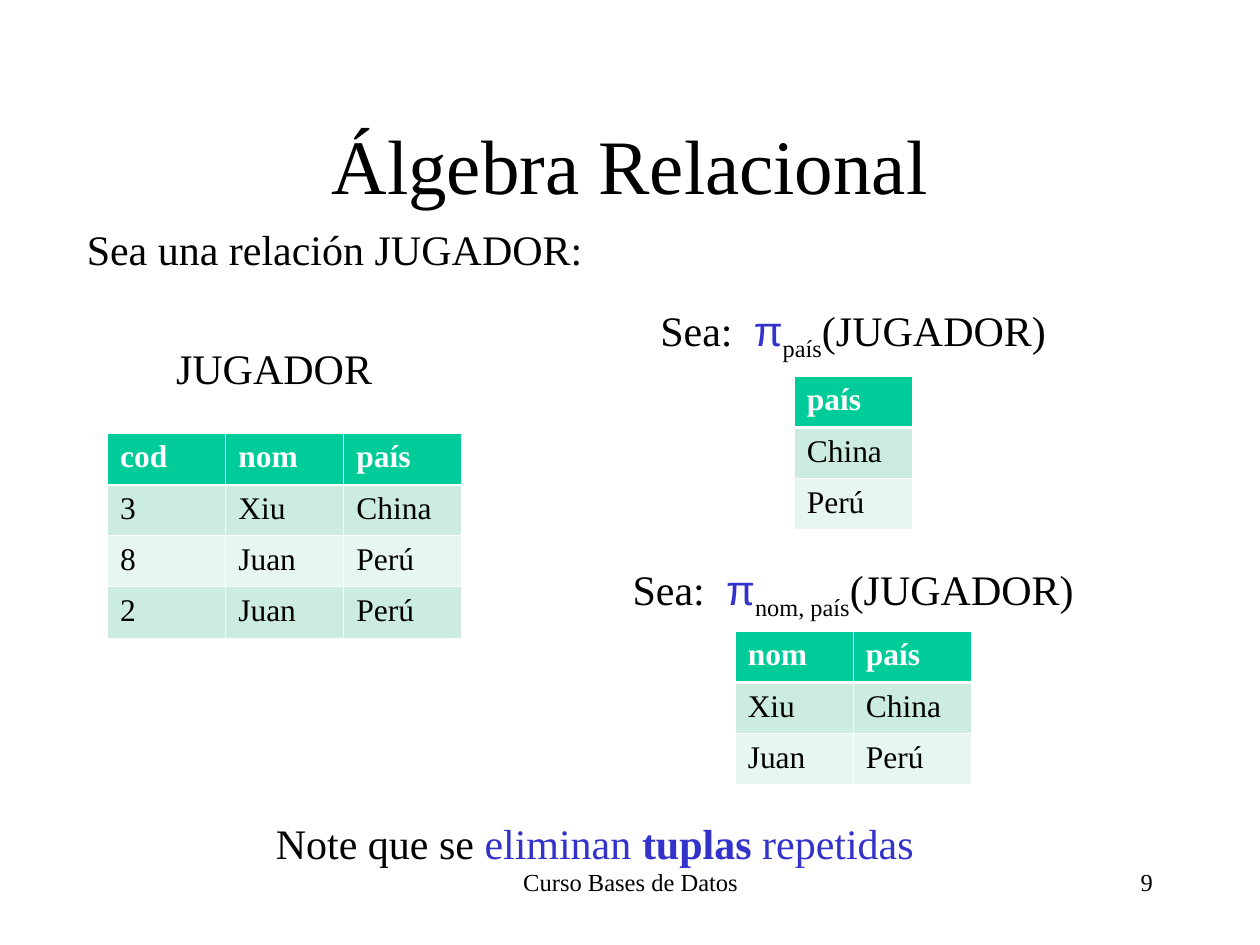
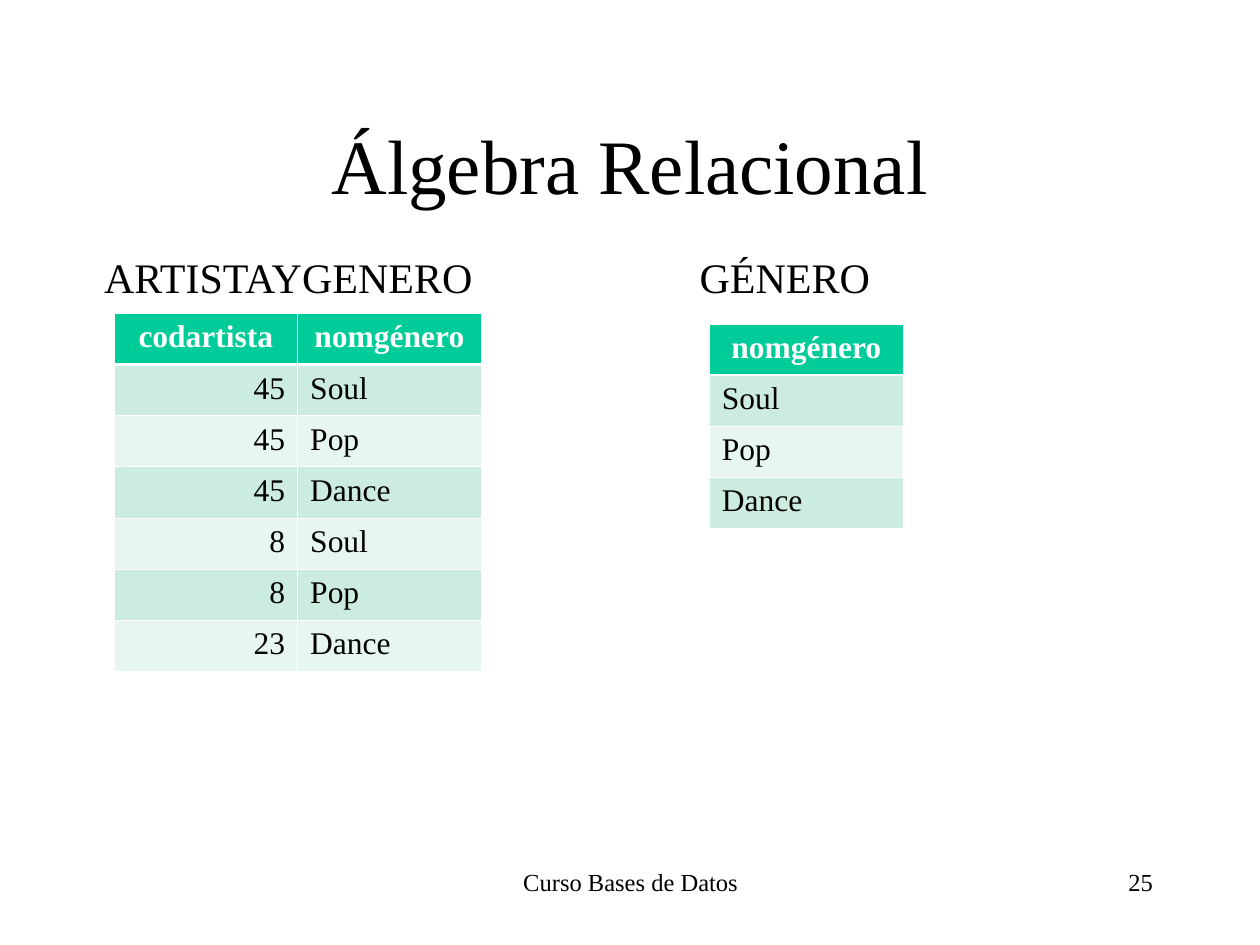
import pptx
import pptx.util
import pptx.dml.color
import pptx.enum.text
import pptx.oxml
import pptx.oxml.ns

Cm = pptx.util.Cm
Pt = pptx.util.Pt
RGBColor = pptx.dml.color.RGBColor
ALIGN = pptx.enum.text.PP_ALIGN
ANCHOR = pptx.enum.text.MSO_ANCHOR

BLACK = RGBColor(0x00, 0x00, 0x00)
WHITE = RGBColor(0xFF, 0xFF, 0xFF)
BLUE = RGBColor(0x33, 0x33, 0xCC)
HEADER = RGBColor(0x00, 0xCC, 0x99)
BANDS = [RGBColor(0xCB, 0xEC, 0xDE), RGBColor(0xE7, 0xF6, 0xEF)]

SERIF = "Times New Roman"
SANS = "Arial"
TITLE = "Álgebra Relacional"
FOOTER = "Curso Bases de Datos"
THIN, THICK = 0.45, 1.47
ROW_H = 1.03
LINE_H = 1.27
TITLE_ONLY = 5


def set_font(p, size, color=BLACK, bold=False, align=ALIGN.LEFT):
    p.alignment = align
    p.font.name = SERIF
    p.font.size = Pt(size)
    p.font.bold = bold
    p.font.color.rgb = color


def add_label(slide, left, top, width, text="", size=24, align=ALIGN.LEFT):
    sp = slide.shapes.add_textbox(Cm(left), Cm(top), Cm(width), Cm(LINE_H))
    tf = sp.text_frame
    tf.word_wrap = True
    p = tf.paragraphs[0]
    p.text = text
    set_font(p, size, align=align)
    return p


def add_run(p, text, color=None, bold=None):
    r = p.add_run()
    r.text = text
    if color is not None:
        r.font.color.rgb = color
    if bold is not None:
        r.font.bold = bold
    return r


def add_projection(slide, left, top, width, attributes):
    p = add_label(slide, left, top, width, align=ALIGN.CENTER)
    add_run(p, "Sea:")
    gap = add_run(p, " ")
    gap.font._element.set("spc", "600")
    add_run(p, "π", BLUE).font.name = SANS
    add_run(p, attributes).font._element.set("baseline", "-25000")
    add_run(p, "(JUGADOR)")


def add_border(cell, side, width):
    tcPr = cell._tc.get_or_add_tcPr()
    tcPr.append(pptx.oxml.parse_xml(
        f'<a:ln{side} {pptx.oxml.ns.nsdecls("a")} w="{Pt(width)}">'
        f'<a:solidFill><a:srgbClr val="{WHITE}"/></a:solidFill></a:ln{side}>'))


def add_relation(slide, left, top, col_w, rows,
                 header_align=ALIGN.LEFT, number_align=ALIGN.LEFT):
    n_cols = len(rows[0])
    table = slide.shapes.add_table(
        len(rows), n_cols, Cm(left), Cm(top),
        Cm(col_w * n_cols), Cm(ROW_H * len(rows))).table
    for col in table.columns:
        col.width = Cm(col_w)
    for i, values in enumerate(rows):
        table.rows[i].height = Cm(ROW_H)
        is_header = i == 0
        for j, value in enumerate(values):
            cell = table.cell(i, j)
            widths = {"L": THIN, "R": THIN,
                      "T": THICK if i == 1 else THIN,
                      "B": THICK if is_header else THIN}
            for side, width in widths.items():
                add_border(cell, side, width)
            cell.fill.solid()
            cell.fill.fore_color.rgb = HEADER if is_header else BANDS[(i - 1) % 2]
            p = cell.text_frame.paragraphs[0]
            p.text = value
            if is_header:
                set_font(p, 18, WHITE, True, header_align)
            else:
                align = number_align if value.isdigit() else ALIGN.LEFT
                set_font(p, 18, align=align)


def add_course_slide(prs, number):
    slide = prs.slides.add_slide(prs.slide_layouts[TITLE_ONLY])
    title = slide.shapes.title
    title.left, title.top = Cm(1.9), Cm(1.7)
    title.width, title.height = Cm(21.6), Cm(3.18)
    tf = title.text_frame
    tf.text = TITLE
    tf.vertical_anchor = ANCHOR.MIDDLE
    set_font(tf.paragraphs[0], 44, align=ALIGN.CENTER)
    add_label(slide, 8.69, 17.35, 8.05, FOOTER, 14, ALIGN.CENTER)
    add_label(slide, 18.21, 17.35, 5.28, str(number), 14, ALIGN.RIGHT)
    return slide


def add_player_relation(slide, left, top):
    add_label(slide, left, top, 11.8, "Sea una relación JUGADOR:")
    add_label(slide, left + 1.8, top + 2.39, 5.4, "JUGADOR")
    add_relation(slide, left + 0.67, top + 4.35, 2.38, [
        ("cod", "nom", "país"),
        ("3", "Xiu", "China"),
        ("8", "Juan", "Perú"),
        ("2", "Juan", "Perú")])


def add_projection_result(slide, left, top, width, rows, table_drop):
    col_w = 2.38
    add_projection(slide, left, top, width, ", ".join(rows[0]))
    table_left = left + (width - col_w * len(rows[0])) / 2
    add_relation(slide, table_left, top + table_drop, col_w, rows)


def add_duplicates_note(slide, left, top):
    p = add_label(slide, left, top, 14.8)
    add_run(p, "Note que se")
    add_run(p, " eliminan ", BLUE)
    add_run(p, "tuplas ", BLUE, True)
    add_run(p, "repetidas", BLUE)


def build_projection_slide(prs):
    slide = add_course_slide(prs, 9)
    add_player_relation(slide, 1.5, 4.39)
    add_projection_result(slide, 11.1, 6.02, 12.2,
                          [("país",), ("China",), ("Perú",)], 1.57)
    add_projection_result(slide, 11.1, 11.24, 12.2,
                          [("nom", "país"), ("Xiu", "China"), ("Juan", "Perú")], 1.49)
    add_duplicates_note(slide, 5.31, 16.36)


def build_genre_slide(prs):
    slide = add_course_slide(prs, 25)
    add_label(slide, 1.85, 4.95, 8.43, "ARTISTAYGENERO")
    add_relation(slide, 2.3, 6.32, 3.7, [
        ("codartista", "nomgénero"),
        ("45", "Soul"),
        ("45", "Pop"),
        ("45", "Dance"),
        ("8", "Soul"),
        ("8", "Pop"),
        ("23", "Dance")], ALIGN.CENTER, ALIGN.RIGHT)
    add_label(slide, 11.91, 4.95, 7.82, "GÉNERO", align=ALIGN.CENTER)
    add_relation(slide, 14.3, 6.53, 3.91, [
        ("nomgénero",), ("Soul",), ("Pop",), ("Dance",)], ALIGN.CENTER)


def main():
    prs = pptx.Presentation()
    prs.slide_width, prs.slide_height = Cm(25.4), Cm(19.05)
    build_projection_slide(prs)
    build_genre_slide(prs)
    prs.save("out.pptx")


if __name__ == "__main__":
    main()
